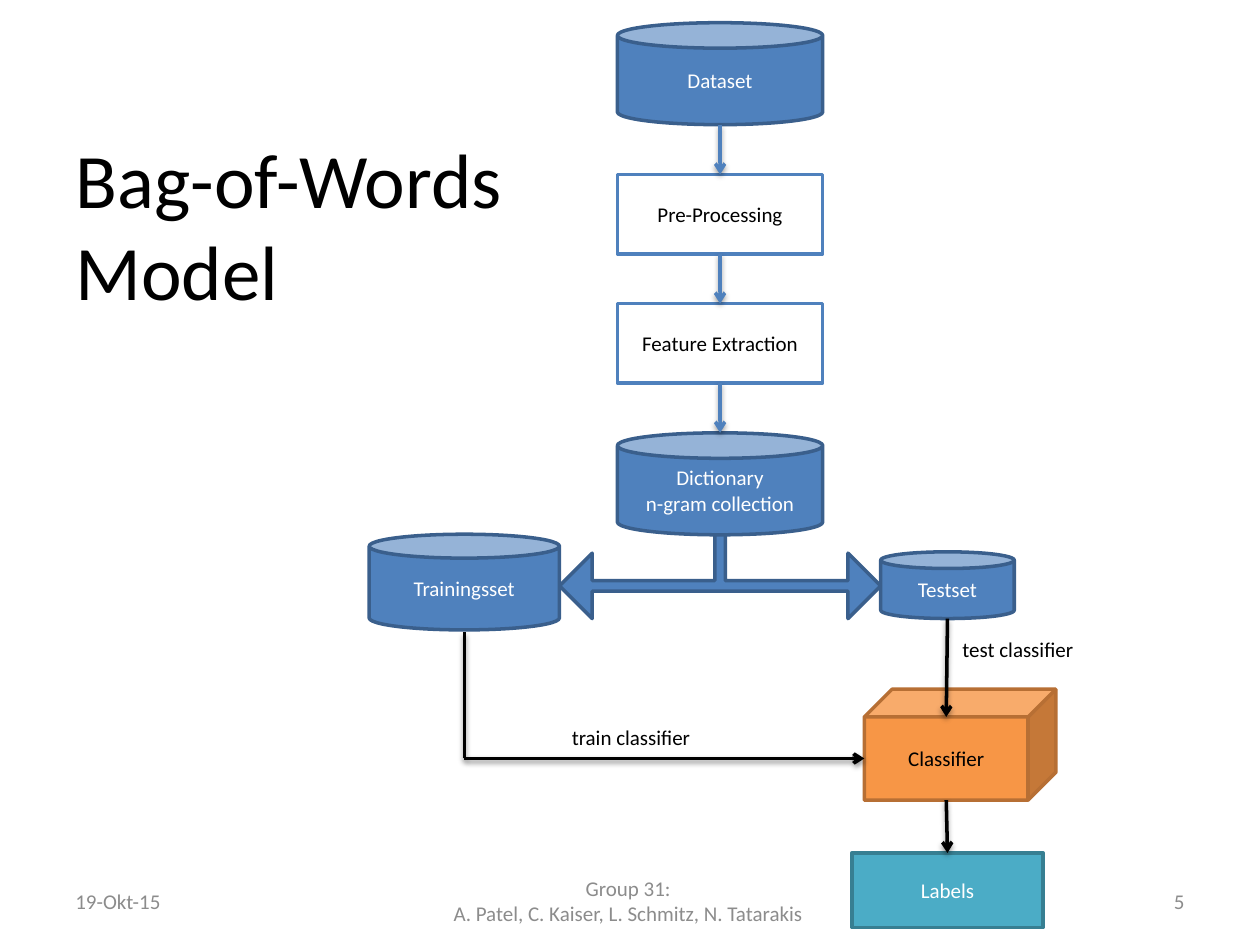
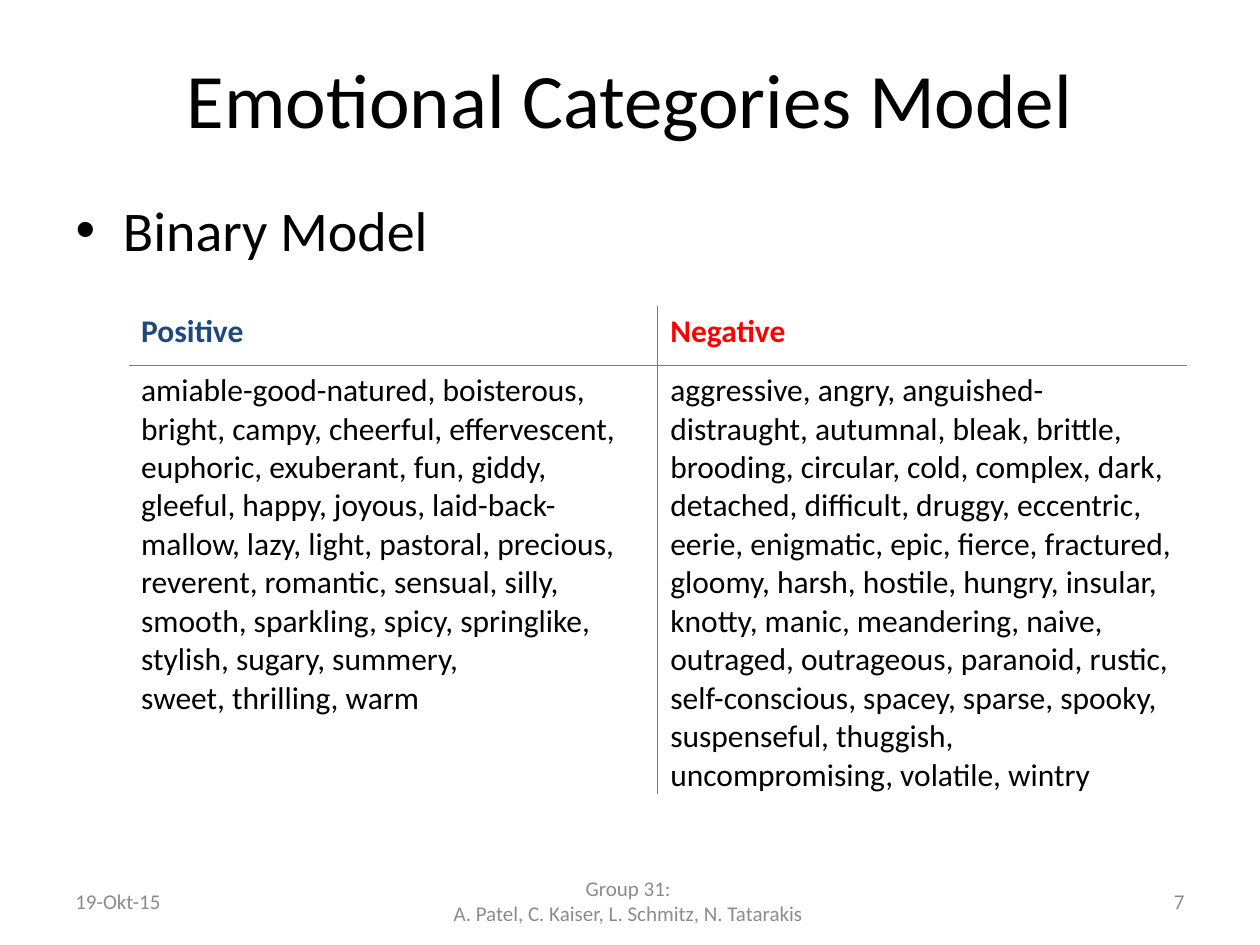
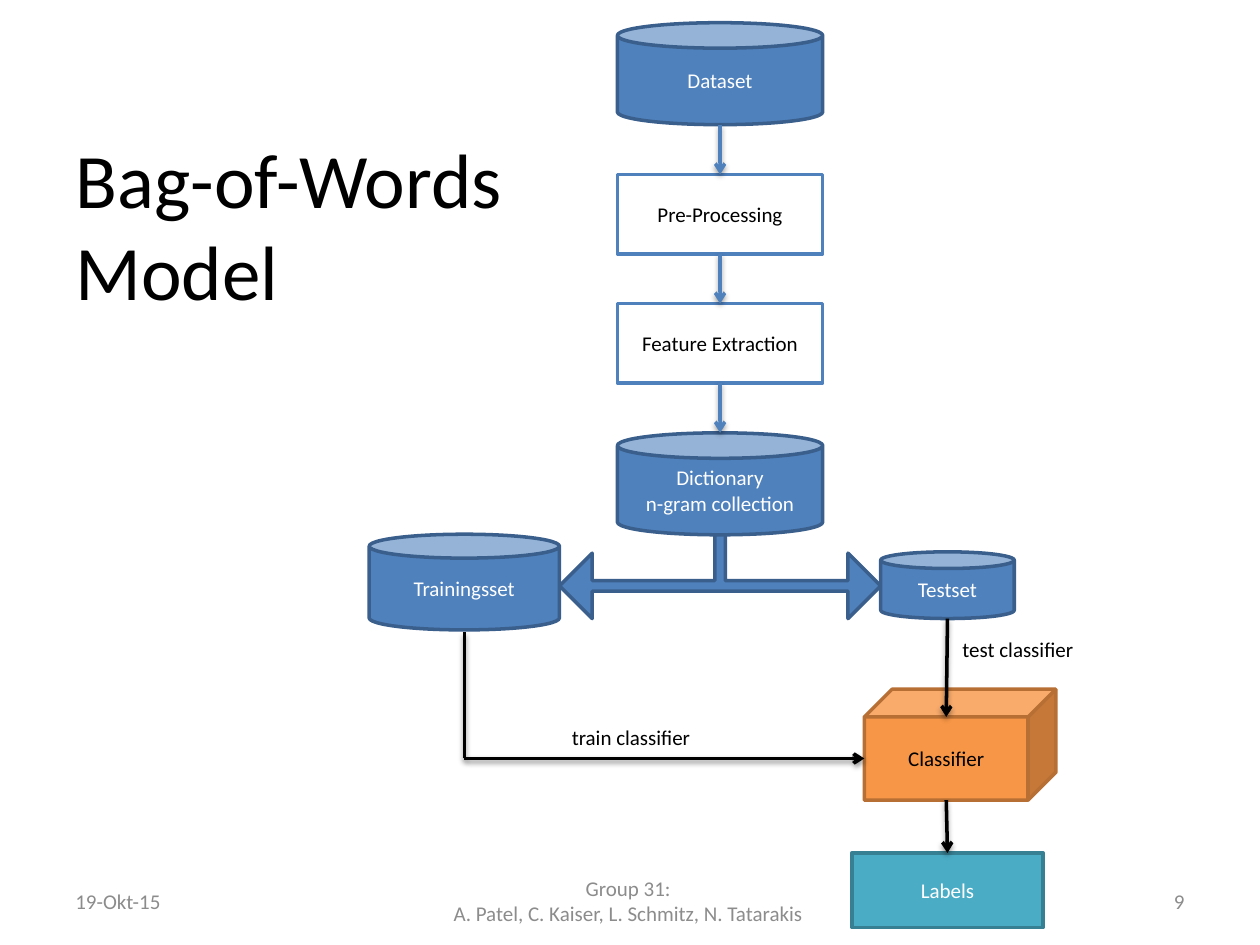
from dataclasses import dataclass
from itertools import pairwise

import pptx
import pptx.dml.color
import pptx.enum.shapes
import pptx.enum.text
import pptx.oxml
import pptx.oxml.ns
import pptx.util
from pptx.slide import Slide

RGB = pptx.dml.color.RGBColor
SHAPE = pptx.enum.shapes.MSO_SHAPE
ALIGN = pptx.enum.text.PP_ALIGN
ANCHOR = pptx.enum.text.MSO_ANCHOR
Pt = pptx.util.Pt

BLACK = RGB(0x00, 0x00, 0x00)
WHITE = RGB(0xFF, 0xFF, 0xFF)
GREY = RGB(0x8C, 0x8C, 0x8C)
RULE_GREY = RGB(0x7F, 0x7F, 0x7F)
BLUE = RGB(0x4F, 0x81, 0xBD)
DARK_BLUE = RGB(0x3A, 0x5F, 0x8C)
NAVY = RGB(0x1F, 0x49, 0x7D)
RED = RGB(0xFF, 0x00, 0x00)
ORANGE = RGB(0xF7, 0x96, 0x46)
BROWN = RGB(0xB7, 0x6F, 0x34)
TEAL = RGB(0x4B, 0xAC, 0xC6)
DARK_TEAL = RGB(0x37, 0x7F, 0x92)

FONT = "Calibri"
SLIDE_W, SLIDE_H = pptx.util.Inches(10), pptx.util.Inches(7.5)
CELL = SLIDE_W / 100  # the slide is a grid of 100 columns by 75 rows
NO_TABLE_STYLE = "{2D5ABB26-0587-4C30-8999-92F81FD0307C}"
NS = pptx.oxml.ns.nsdecls("a")


@dataclass(frozen=True)
class Look:
    shape: int
    fill: RGB
    line: RGB
    font: RGB


STORE = Look(SHAPE.CAN, BLUE, DARK_BLUE, WHITE)
STEP = Look(SHAPE.RECTANGLE, WHITE, BLUE, BLACK)
MODEL = Look(SHAPE.CUBE, ORANGE, BROWN, BLACK)
RESULT = Look(SHAPE.RECTANGLE, TEAL, DARK_TEAL, WHITE)


@dataclass(frozen=True)
class Box:
    """A labelled box of the flow chart, measured in grid cells."""
    text: str
    look: Look
    left: float
    top: float
    width: float
    height: float

    @property
    def depth(self) -> float:
        return self.height / 4 if self.look is MODEL else 0

    @property
    def right(self) -> float:
        return self.left + self.width

    @property
    def bottom(self) -> float:
        return self.top + self.height

    @property
    def front_x(self) -> float:
        return self.left + (self.width - self.depth) / 2

    @property
    def front_top(self) -> float:
        return self.top + self.depth

    @property
    def front_y(self) -> float:
        return (self.front_top + self.bottom) / 2


def flow_column() -> list[Box]:
    """Stack the first four boxes with equal gaps."""
    boxes, top = [], 1.8
    for text, look, height in (("Dataset", STORE, 8.1),
                               ("Pre-Processing", STEP, 6.3),
                               ("Feature Extraction", STEP, 6.3),
                               ("Dictionary\nn-gram collection", STORE, 8.1)):
        boxes.append(Box(text, look, 49, top, 16.3, height))
        top += height + 3.95
    return boxes


COLUMN = flow_column()
TRAINING = Box("Trainingsset", STORE, 29.3, 42.4, 15.1, 7.6)
TESTING = Box("Testset", STORE, 69.9, 43.8, 10.6, 5.3)
CLASSIFIER = Box("Classifier", MODEL, 68.6, 54.7, 15.2, 8.8)
LABELS = Box("Labels", RESULT, 67.6, 67.7, 15.2, 5.9)

TABLE_COLUMNS = (
    ("Positive", NAVY,
     "amiable-good-natured, boisterous, bright, campy, cheerful, effervescent, "
     "euphoric, exuberant, fun, giddy, gleeful, happy, joyous, laid-back-mallow, "
     "lazy, light, pastoral, precious, reverent, romantic, sensual, silly, smooth, "
     "sparkling, spicy, springlike, stylish, sugary, summery,\n"
     "sweet, thrilling, warm"),
    ("Negative", RED,
     "aggressive, angry, anguished-distraught, autumnal, bleak, brittle, brooding, "
     "circular, cold, complex, dark, detached, difficult, druggy, eccentric, eerie, "
     "enigmatic, epic, fierce, fractured, gloomy, harsh, hostile, hungry, insular, "
     "knotty, manic, meandering, naive, outraged, outrageous, paranoid, rustic, "
     "self-conscious, spacey, sparse, spooky,\n"
     "suspenseful, thuggish, uncompromising, volatile, wintry"),
)


def grid(*cells: float) -> list[int]:
    return [round(c * CELL) for c in cells]


def write(tf, text: str, size: float, color: RGB, align=None, bold=None) -> None:
    """Write one paragraph per line of text."""
    for i, line in enumerate(text.split("\n")):
        p = tf.add_paragraph() if i else tf.paragraphs[0]
        p.alignment = align
        r = p.add_run()
        r.text = line
        r.font.name, r.font.size, r.font.bold = FONT, Pt(size), bold
        r.font.color.rgb = color


def add_text(s: Slide, text: str, at: tuple, color: RGB, align=None,
             anchor=ANCHOR.TOP) -> None:
    tf = s.shapes.add_textbox(*grid(*at)).text_frame
    tf.word_wrap = True
    tf.vertical_anchor = anchor
    write(tf, text, 12, color, align)


def add_shape(s: Slide, shape: int, at: tuple, fill: RGB, line: RGB | None):
    sp = s.shapes.add_shape(shape, *grid(*at))
    sp.shadow.inherit = False
    sp.fill.solid()
    sp.fill.fore_color.rgb = fill
    if line is None:
        sp.line.fill.background()
    else:
        sp.line.color.rgb = line
        sp.line.width = Pt(2)
    return sp


def add_box(s: Slide, box: Box) -> None:
    look = box.look
    sp = add_shape(s, look.shape, (box.left, box.top, box.width, box.height),
                   look.fill, look.line)
    write(sp.text_frame, box.text, 12, look.font, ALIGN.CENTER)


def add_line(s: Slide, start: tuple, end: tuple, color: RGB, arrow: bool = True) -> None:
    """Draw a line with a soft shadow, with an arrowhead at its end by default."""
    c = s.shapes.add_connector(pptx.enum.shapes.MSO_CONNECTOR.STRAIGHT,
                               *grid(*start, *end))
    c.line.color.rgb = color
    c.line.width = Pt(2)
    sppr = c._element.spPr
    if arrow:
        sppr.find(pptx.oxml.ns.qn("a:ln")).append(
            pptx.oxml.parse_xml(f'<a:tailEnd {NS} type="arrow"/>'))
    sppr.append(pptx.oxml.parse_xml(
        f'<a:effectLst {NS}><a:outerShdw blurRad="{Pt(3.1)}" dist="{Pt(1.6)}" '
        'dir="5400000" rotWithShape="0"><a:srgbClr val="000000">'
        '<a:alpha val="38000"/></a:srgbClr></a:outerShdw></a:effectLst>'))


def link_down(s: Slide, upper: Box, lower: Box, color: RGB) -> None:
    add_line(s, (upper.front_x, upper.bottom), (lower.front_x, lower.front_top), color)


def fill_placeholder(ph, text: str, at: tuple, size: float, align=None) -> None:
    ph.left, ph.top, ph.width, ph.height = grid(*at)
    write(ph.text_frame, text, size, BLACK, align)


def add_footer(s: Slide, number: int) -> None:
    for text, left, width, align in (
            ("19-Okt-15", 5, 23.3, ALIGN.LEFT),
            ("Group 31: \nA. Patel, C. Kaiser, L. Schmitz, N. Tatarakis ",
             33.9, 32.3, ALIGN.CENTER),
            (str(number), 71.7, 23.3, ALIGN.RIGHT)):
        add_text(s, text, (left, 69.5, width, 4), GREY, align, ANCHOR.MIDDLE)


def add_flow_slide(prs, number: int) -> None:
    s = prs.slides.add_slide(prs.slide_layouts[5])
    split = add_shape(s, SHAPE.LEFT_RIGHT_UP_ARROW,
                      (TRAINING.right, 38.7, TESTING.left - TRAINING.right, 10.4),
                      BLUE, DARK_BLUE)
    split.adjustments[0] = 0.08
    add_shape(s, SHAPE.RECTANGLE, (52.5, 38.2, 9.3, 4.3), WHITE, None)
    fill_placeholder(s.shapes.title, "Bag-of-Words Model", (5, 3, 39.4, 29.5), 44,
                     ALIGN.LEFT)
    add_footer(s, number)

    for box in (*COLUMN, TRAINING, TESTING, CLASSIFIER, LABELS):
        add_box(s, box)
    for upper, lower in pairwise(COLUMN):
        link_down(s, upper, lower, BLUE)
    for upper, lower in pairwise((TESTING, CLASSIFIER, LABELS)):
        link_down(s, upper, lower, BLACK)

    corner = (TRAINING.front_x, CLASSIFIER.front_y)
    add_line(s, corner, (TRAINING.front_x, TRAINING.bottom + 0.2), BLACK, arrow=False)
    add_line(s, corner, (CLASSIFIER.left, CLASSIFIER.front_y), BLACK)
    add_text(s, "train classifier", (44.4, 57, 16.7, 3), BLACK)
    add_text(s, "test classifier", (75.4, 50, 16.7, 3), BLACK)


def format_cell(cell, sides: str, text: str, color: RGB, bold: bool) -> None:
    """Write a cell and rule the given sides, listed in the order L, R, T, B."""
    tcpr = cell._tc.get_or_add_tcPr()
    for side in sides:
        tcpr.append(pptx.oxml.parse_xml(
            f'<a:ln{side} {NS} w="{Pt(1)}"><a:solidFill>'
            f'<a:srgbClr val="{RULE_GREY}"/></a:solidFill></a:ln{side}>'))
    cell.fill.background()
    write(cell.text_frame, text, 18, color, bold=bold)


def add_table_slide(prs, number: int) -> None:
    s = prs.slides.add_slide(prs.slide_layouts[1])
    fill_placeholder(s.shapes.title, "Emotional Categories Model", (5, 3, 90, 9.5), 44,
                     ALIGN.CENTER)
    fill_placeholder(s.placeholders[1], "Binary Model", (5, 15, 90, 52), 32)
    add_footer(s, number)

    table = s.shapes.add_table(2, 2, *grid(10.2, 24.3, 84, 38.7)).table
    table.first_row = table.horz_banding = False
    table._tbl.tblPr.find(pptx.oxml.ns.qn("a:tableStyleId")).text = NO_TABLE_STYLE
    table.rows[0].height, table.rows[1].height = grid(4.7, 34)
    for col, (heading, color, words) in enumerate(TABLE_COLUMNS):
        inner = "RL"[col]
        format_cell(table.cell(0, col), inner + "B", heading, color, True)
        format_cell(table.cell(1, col), inner + "T", words, BLACK, False)


def main() -> None:
    prs = pptx.Presentation()
    prs.slide_width, prs.slide_height = SLIDE_W, SLIDE_H
    add_flow_slide(prs, 5)
    add_table_slide(prs, 7)
    add_flow_slide(prs, 9)
    prs.save("out.pptx")


if __name__ == "__main__":
    main()
